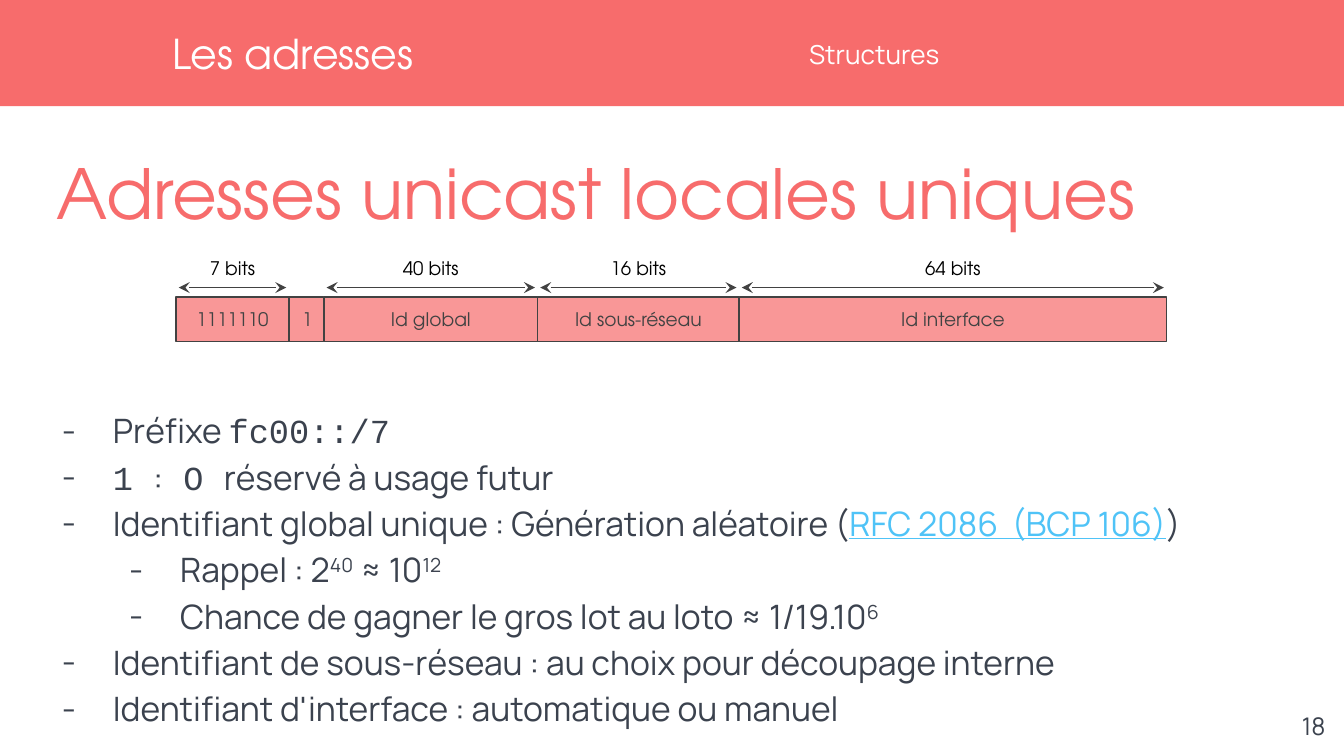
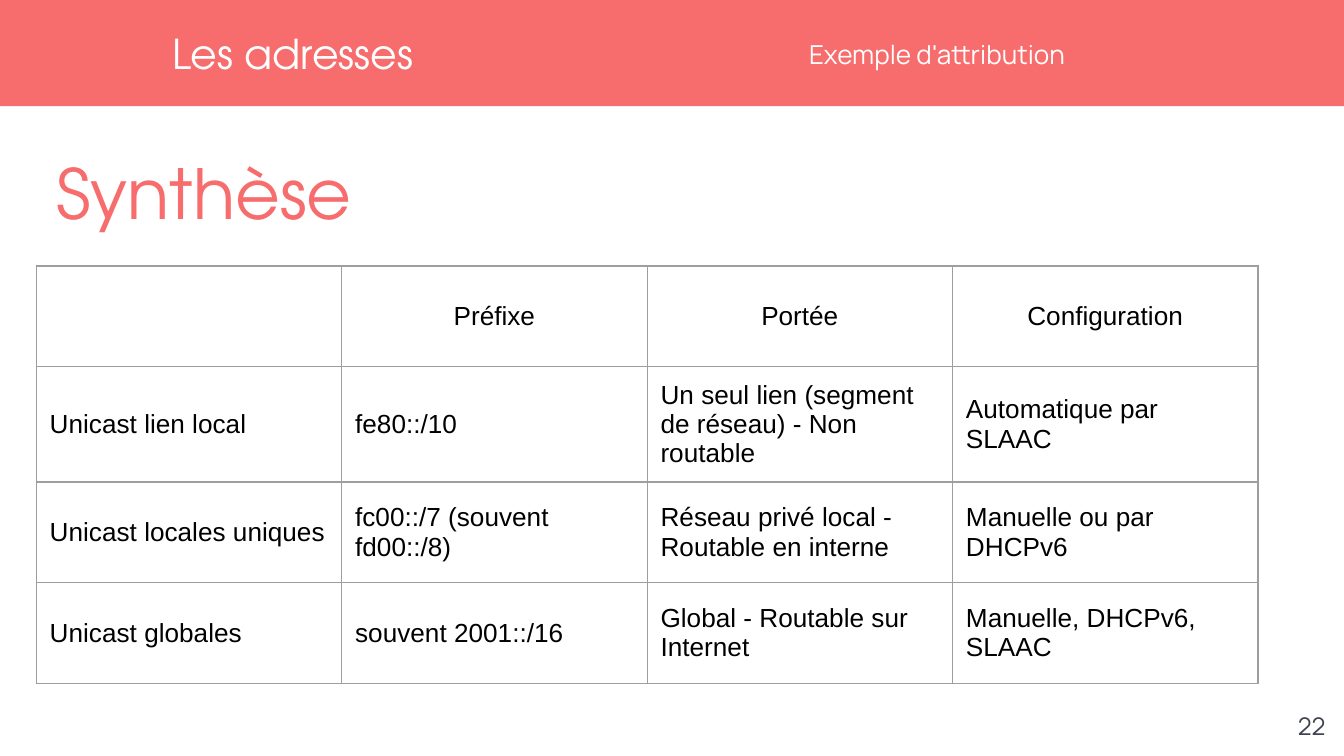
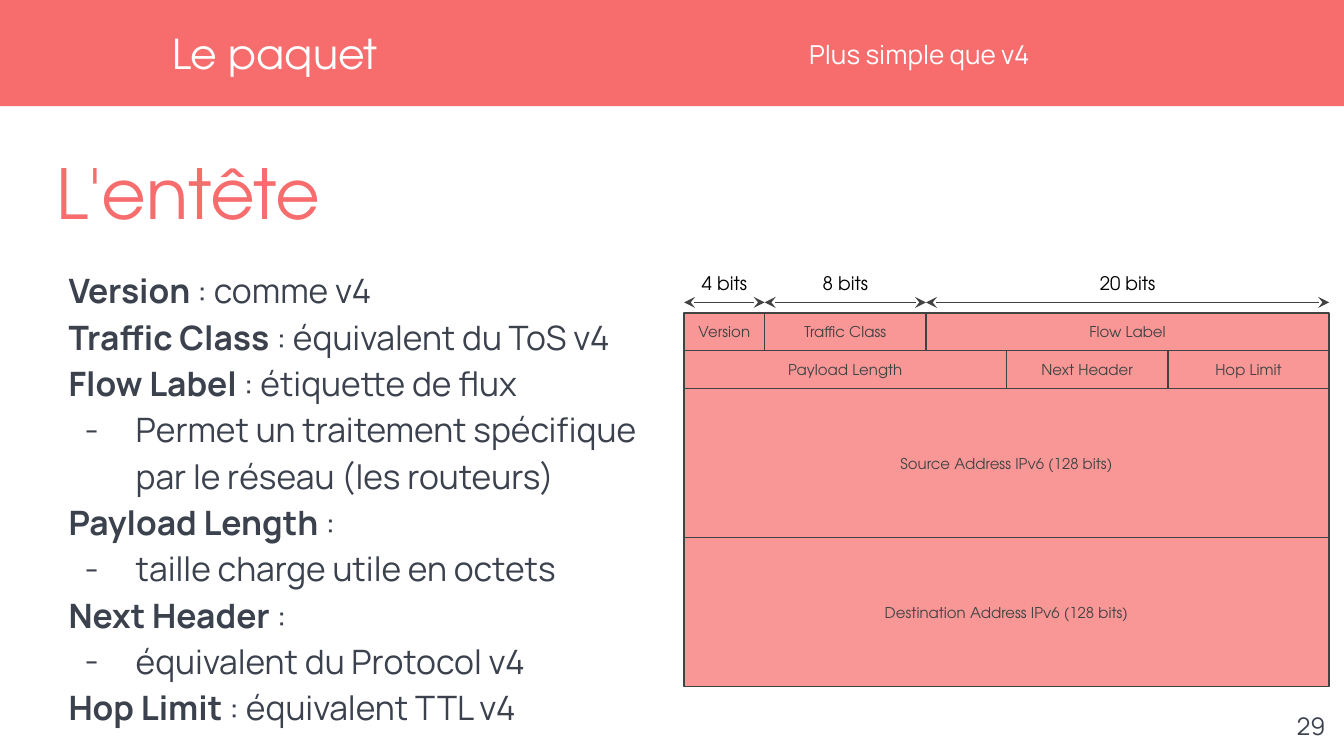
from lxml.etree import SubElement
from pptx import Presentation
from pptx.dml.color import RGBColor
from pptx.enum.shapes import MSO_CONNECTOR, MSO_SHAPE
from pptx.enum.text import MSO_ANCHOR, MSO_AUTO_SIZE, PP_ALIGN
from pptx.oxml.ns import qn
from pptx.util import Inches, Pt

CORAL, SALMON, WHITE, BLACK = "F76C6C", "F99797", "FFFFFF", "000000"
SLATE, GRAPHITE, GREY, SKY = "3B424E", "424242", "9E9E9E", "4FC3F7"
HEADING_FONT, BODY_FONT, CODE_FONT, TABLE_FONT = (
    "TeX Gyre Adventor", "Manrope", "Courier New", "Arial")
COMPARISON_LAYOUT = 4

TITLE_BOX = (0.42, 1.12, 9.26, 0.58)
SECTION_BOX = (1.28, 0, 4.69, 0.79)
TOPIC_BOX = (6.02, 0.21, 3.84, 0.39)
NUMBER_BOX = (9.36, 5.19, 0.6, 0.43)

# A line is (indent in inches, spans); a span is plain text or (text, style).
LOCAL_LINES = [
    (0.5, ["Préfixe ", ("fc00::/7", "code")]),
    (0.5, [("1 ", "code"), ":", (" O ", "code"), "réservé à usage futur"]),
    (0.5, ["Identifiant global unique : Génération aléatoire (",
           ("RFC 2086  (BCP 106)", "link"), ")"]),
    (1, ["Rappel : 2", ("40", "power"), " ≈ 10", ("12", "power")]),
    (1, ["Chance de gagner le gros lot au loto ≈ 1/19.10", ("6", "power")]),
    (0.5, ["Identifiant de sous-réseau : au choix pour découpage interne"]),
    (0.5, ["Identifiant d'interface : automatique ou manuel"]),
]
HEADER_LINES = [
    (0, [("Version", "bold"), " : comme v4"]),
    (0, [("Traffic Class", "bold"), " : équivalent du ToS v4"]),
    (0, [("Flow Label", "bold"), " : étiquette de flux"]),
    (0.5, ["Permet un traitement spécifique par le réseau (les routeurs)"]),
    (0, [("Payload Length", "bold"), " :"]),
    (0.5, ["taille charge utile en octets"]),
    (0, [("Next Header", "bold"), " :"]),
    (0.5, ["équivalent du Protocol v4"]),
    (0, [("Hop Limit", "bold"), " : équivalent TTL v4"]),
]

# A field is (label, width in inches, size shown above it).
LOCAL_FIELDS = [("1111110", 0.84, "7 bits"), ("1", 0.26, None),
                ("Id global", 1.59, "40 bits"),
                ("Id sous-réseau", 1.5, "16 bits"),
                ("Id interface", 3.18, "64 bits")]
BIT = 0.15
HEADER_ROWS = [
    (0.28, [("Version", 4 * BIT, "4 bits"), ("Traffic Class", 8 * BIT, "8 bits"),
            ("Flow Label", 20 * BIT, "20 bits")]),
    (0.28, [("Payload Length", 16 * BIT, None), ("Next Header", 8 * BIT, None),
            ("Hop Limit", 8 * BIT, None)]),
    (1.11, [("Source Address IPv6 (128 bits)", 32 * BIT, None)]),
    (1.11, [("Destination Address IPv6 (128 bits)", 32 * BIT, None)]),
]

SUMMARY_ROWS = [
    ["", "Préfixe", "Portée", "Configuration"],
    ["Unicast lien local", "fe80::/10",
     "Un seul lien (segment de réseau) - Non routable",
     "Automatique par SLAAC"],
    ["Unicast locales uniques", "fc00::/7 (souvent fd00::/8)",
     "Réseau privé local - Routable en interne", "Manuelle ou par DHCPv6"],
    ["Unicast globales", "souvent 2001::/16",
     "Global - Routable sur Internet", "Manuelle, DHCPv6, SLAAC"],
]


def rgb(color):
    return RGBColor.from_string(color)


def inches(box):
    return [Inches(value) for value in box]


def format_span(span, font, size, color, bold=False):
    span.font.name, span.font.size, span.font.bold = font, Pt(size), bold
    span.font.color.rgb = rgb(color)


def set_frame(frame, anchor, margin):
    frame.word_wrap = True
    frame.auto_size = MSO_AUTO_SIZE.NONE
    frame.vertical_anchor = anchor
    frame.margin_left = frame.margin_right = Inches(margin)
    frame.margin_top = frame.margin_bottom = Inches(margin)


def write(shape, text, font, size, color, align=PP_ALIGN.LEFT,
          anchor=MSO_ANCHOR.MIDDLE, margin=0.1):
    frame = shape.text_frame
    set_frame(frame, anchor, margin)
    frame.text = text
    para = frame.paragraphs[0]
    para.alignment = align
    para.space_before = Pt(0)
    format_span(para.runs[0], font, size, color)


def place(shape, box):
    shape.left, shape.top, shape.width, shape.height = inches(box)


def remove(shape):
    shape.element.getparent().remove(shape.element)


def add_rect(slide, box, fill, line=None):
    rect = slide.shapes.add_shape(MSO_SHAPE.RECTANGLE, *inches(box))
    rect.shadow.inherit = False
    rect.fill.solid()
    rect.fill.fore_color.rgb = rgb(fill)
    if line:
        rect.line.color.rgb = rgb(line)
        rect.line.width = Pt(0.75)
    else:
        rect.line.fill.background()
    return rect


def add_label(slide, box, text, *style, align):
    label = slide.shapes.add_textbox(*inches(box))
    write(label, text, *style, align=align, anchor=MSO_ANCHOR.TOP)
    return label


def add_band(layout, slide):
    """Put the coloured band behind everything on the layout."""
    band = add_rect(slide, (-0.02, 0, 10.04, 0.79), CORAL)
    layout.shapes.element.insert(2, band.element)


def add_page(deck, section, topic, title, number):
    """Add a slide with its headings; return it with its body placeholder."""
    layout = deck.slide_layouts[COMPARISON_LAYOUT]
    slide = deck.slides.add_slide(layout)
    if len(deck.slides) == 1:
        add_band(layout, slide)
    holders = {holder.placeholder_format.idx: holder
               for holder in slide.placeholders}
    for index, box, text, font, size, color, anchor in (
            (0, TITLE_BOX, title, HEADING_FONT, 37, CORAL, MSO_ANCHOR.TOP),
            (1, SECTION_BOX, section, HEADING_FONT, 22, WHITE, MSO_ANCHOR.MIDDLE),
            (3, TOPIC_BOX, topic, BODY_FONT, 14, WHITE, MSO_ANCHOR.MIDDLE)):
        place(holders[index], box)
        write(holders[index], text, font, size, color, anchor=anchor, margin=0)
    add_label(slide, NUMBER_BOX, number, BODY_FONT, 13, SLATE,
              align=PP_ALIGN.RIGHT)
    remove(holders[4])
    return slide, holders[2]


def set_bullet(para, indent):
    """Indent a dashed line, or clear the bullet when indent is zero."""
    props = para._p.get_or_add_pPr()
    props.set("marL", str(Inches(indent)))
    props.set("indent", str(Inches(-0.38 if indent else 0)))
    if indent:
        color = SubElement(props, qn("a:buClr"))
        SubElement(color, qn("a:srgbClr"), val=SLATE)
        SubElement(props, qn("a:buFont"), typeface=BODY_FONT)
        SubElement(props, qn("a:buChar"), char="-")
    else:
        SubElement(props, qn("a:buNone"))


def fill_body(body, box, lines):
    place(body, box)
    frame = body.text_frame
    set_frame(frame, MSO_ANCHOR.MIDDLE, 0)
    for index, (indent, spans) in enumerate(lines):
        para = frame.add_paragraph() if index else frame.paragraphs[0]
        para.level = 1 if indent == 1 else 0
        para.line_spacing = 1.15
        para.space_before = Pt(0)
        set_bullet(para, indent)
        for item in spans:
            text, style = (item, None) if isinstance(item, str) else item
            span = para.add_run()
            span.text = text
            format_span(span, CODE_FONT if style == "code" else BODY_FONT, 18,
                        SKY if style == "link" else SLATE, style == "bold")
            if style == "link":
                span.font.underline = True
            if style == "power":
                span._r.get_or_add_rPr().set("baseline", "30000")


def add_measure(slide, left, top, width, text, inset, label_width):
    """Draw a double arrow over a field, with its size in bits above."""
    arrow = slide.shapes.add_connector(
        MSO_CONNECTOR.STRAIGHT,
        *inches((left + inset, top, left + width - inset, top)))
    arrow.line.color.rgb = rgb(GRAPHITE)
    arrow.line.width = Pt(0.75)
    line = arrow.line._get_or_add_ln()
    for end in ("a:headEnd", "a:tailEnd"):
        SubElement(line, qn(end), type="stealth")
    SubElement(arrow.element.spPr, qn("a:effectLst"))
    label_width = label_width or width
    label_left = left + (width - label_width) / 2
    label = add_label(slide, (label_left, top - 0.31, label_width, 0.37), text,
                      HEADING_FONT, 10, BLACK, align=PP_ALIGN.CENTER)
    label.text_frame.auto_size = MSO_AUTO_SIZE.SHAPE_TO_FIT_TEXT


def add_fields(slide, left, top, height, fields, size,
               gap=0.08, inset=0, label_width=None):
    """Lay fields side by side, measured where they have a size."""
    for label, width, bits in fields:
        rect = add_rect(slide, (left, top, width, height), SALMON, GRAPHITE)
        write(rect, label, HEADING_FONT, size, GRAPHITE, PP_ALIGN.CENTER)
        if bits:
            add_measure(slide, left, top - gap, width, bits, inset, label_width)
        left += width


def add_packet(slide, left, top, rows):
    for height, fields in rows:
        add_fields(slide, left, top, height, fields, 8)
        top += height


def set_borders(cell):
    props = cell._tc.get_or_add_tcPr()
    for side in ("a:lnL", "a:lnR", "a:lnT", "a:lnB"):
        line = SubElement(props, qn(side), w=str(Pt(0.75)))
        fill = SubElement(line, qn("a:solidFill"))
        SubElement(fill, qn("a:srgbClr"), val=GREY)


def add_summary(slide, box, rows, heights):
    table = slide.shapes.add_table(len(rows), len(rows[0]), *inches(box)).table
    table.first_row = table.horz_banding = False
    for row, height in zip(table.rows, heights):
        row.height = Inches(height)
    for row_index, texts in enumerate(rows):
        for column_index, text in enumerate(texts):
            cell = table.cell(row_index, column_index)
            set_borders(cell)
            cell.fill.background()
            cell.vertical_anchor = MSO_ANCHOR.MIDDLE
            cell.margin_left = cell.margin_right = Inches(0.1)
            cell.margin_top = cell.margin_bottom = Inches(0.1)
            cell.text = text
            para = cell.text_frame.paragraphs[0]
            para.alignment = PP_ALIGN.LEFT if row_index else PP_ALIGN.CENTER
            for span in para.runs:
                format_span(span, TABLE_FONT, 14, BLACK)


def add_local_page(deck):
    slide, body = add_page(deck, "Les adresses", "Structures",
                           "Adresses unicast locales uniques", "18")
    fill_body(body, (0.34, 2.93, 9.02, 2.57), LOCAL_LINES)
    add_fields(slide, 1.31, 2.21, 0.33, LOCAL_FIELDS, 10,
               gap=0.07, inset=0.02, label_width=0.77)


def add_summary_page(deck):
    slide, body = add_page(deck, "Les adresses", "Exemple d'attribution",
                           "Synthèse", "22")
    remove(body)
    add_summary(slide, (0.27, 1.98, 9.09, 3.05), SUMMARY_ROWS,
                (0.75, 0.8, 0.75, 0.75))


def add_header_page(deck):
    slide, body = add_page(deck, "Le paquet", "Plus simple que v4",
                           "L'entête", "29")
    fill_body(body, (0.51, 1.94, 4.43, 3.5), HEADER_LINES)
    add_packet(slide, 5.09, 2.33, HEADER_ROWS)


def main():
    deck = Presentation()
    deck.slide_width = Inches(10)
    deck.slide_height = deck.slide_width * 9 // 16
    add_local_page(deck)
    add_summary_page(deck)
    add_header_page(deck)
    deck.save("out.pptx")


if __name__ == "__main__":
    main()
